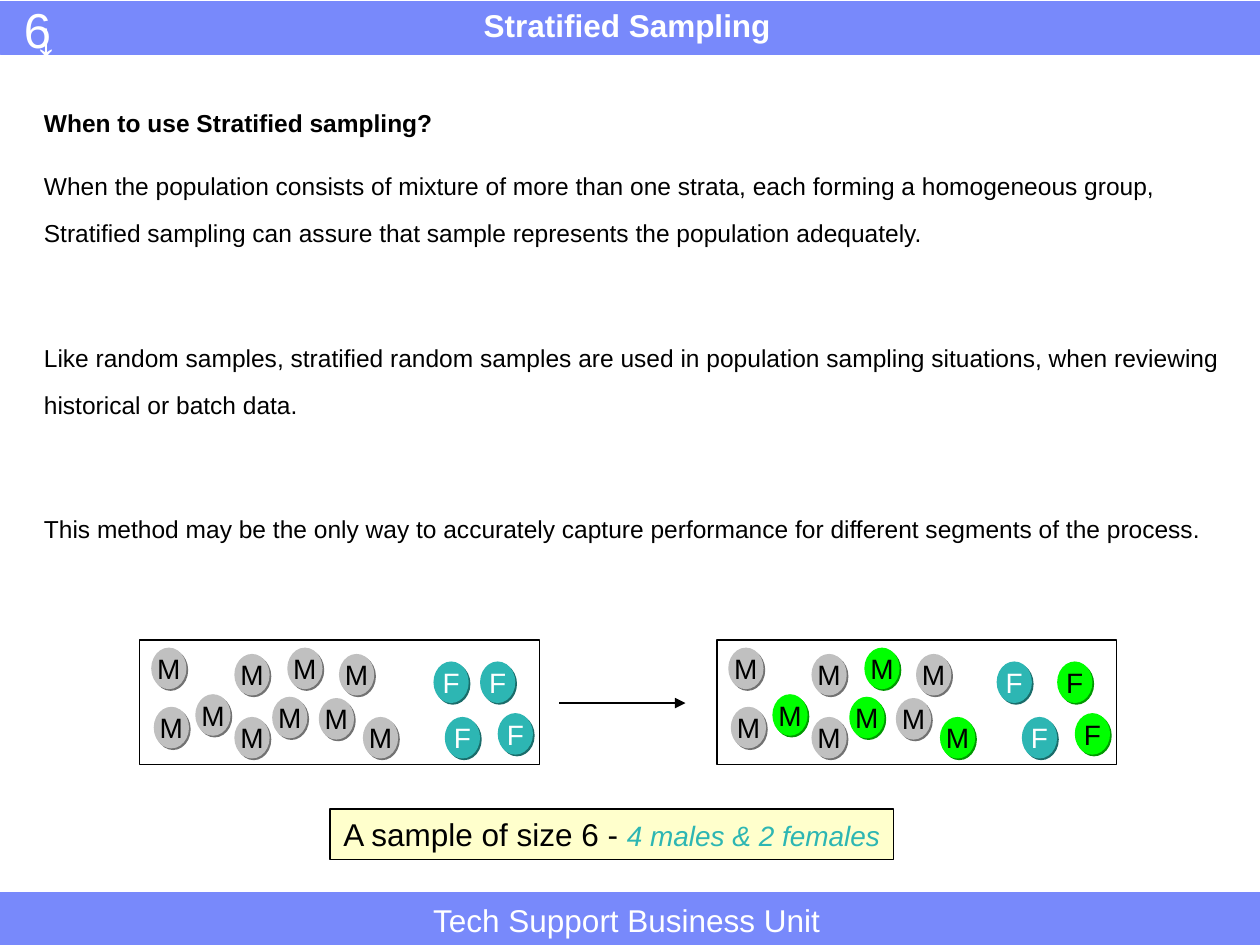
from lxml.etree import SubElement
from pptx import Presentation
from pptx.dml.color import RGBColor
from pptx.enum.shapes import MSO_CONNECTOR as CONN, MSO_SHAPE as SHAPE
from pptx.enum.text import MSO_ANCHOR as ANCHOR, MSO_AUTO_SIZE as FIT, PP_ALIGN as ALIGN
from pptx.oxml.ns import qn
from pptx.util import Inches, Pt

COLS, ROWS = 100, 75
CELL = Inches(10) / COLS

BLACK = RGBColor(0x00, 0x00, 0x00)
WHITE = RGBColor(0xFF, 0xFF, 0xFF)
BAND = RGBColor(0x78, 0x89, 0xFB)
CREAM = RGBColor(0xFF, 0xFF, 0xCC)
GREY = RGBColor(0xC0, 0xC0, 0xC0)
GREY_SHADE = RGBColor(0x72, 0x72, 0x72)
TEAL = RGBColor(0x2D, 0xB6, 0xB3)
TEAL_SHADE = RGBColor(0x1A, 0x6C, 0x6A)
GREEN = RGBColor(0x00, 0xFF, 0x00)
GREEN_SHADE = RGBColor(0x00, 0x98, 0x00)

# fill, shadow, letter colour
MALE = (GREY, GREY_SHADE, BLACK)
FEMALE = (TEAL, TEAL_SHADE, WHITE)
CHOSEN = (GREEN, GREEN_SHADE, BLACK)

BALL = (2.8, 3.3)
MALE_SPOTS = [(7.5, 1.1), (10.5, 4.5), (7.5, 6.1), (11.7, 0.6), (0.9, 0.6),
              (1.1, 5.3), (4.4, 4.3), (14.2, 4.6), (15.8, 1.1), (17.7, 6.1)]
FEMALE_SPOTS = [(27, 1.7), (28.4, 5.8), (24.2, 6.1)]

BODY = [
    ("When to use Stratified sampling?", 0),
    ("When the population consists of mixture of more than one strata, each forming "
     "a homogeneous group, Stratified sampling can assure that sample represents the "
     "population adequately.", 8.8),
    ("Like random samples, stratified random samples are used in population sampling "
     "situations, when reviewing historical or batch data.", 44.5),
    ("This method may be the only way to accurately capture performance for different "
     "segments of the process.", 44.5),
]


def cells(*lengths):
    return [round(n * CELL) for n in lengths]


def add_run(p, text, color, size, name="Arial", **extra):
    r = p.add_run()
    r.text = text
    r.font.color.rgb = color
    for key, value in {"size": Pt(size), "name": name, **extra}.items():
        setattr(r.font, key, value)


def add_box(shapes, kind, box, fill=None, line=None, width=0.75):
    sp = shapes.add_shape(kind, *cells(*box))
    sp.shadow.inherit = False
    if fill is None:
        sp.fill.background()
    else:
        sp.fill.solid()
        sp.fill.fore_color.rgb = fill
    if line is None:
        sp.line.fill.background()
    else:
        sp.line.color.rgb = line
        sp.line.width = Pt(width)
    return sp


def add_label(slide, box, text, size, **extra):
    """White one-line text that does not wrap."""
    tf = slide.shapes.add_textbox(*cells(*box)).text_frame
    tf.word_wrap = False
    tf.auto_size = FIT.SHAPE_TO_FIT_TEXT
    add_run(tf.paragraphs[0], text, WHITE, size, **extra)


def add_bands(slide, height):
    for top in (0.1, ROWS - height):
        add_box(slide.shapes, SHAPE.RECTANGLE, (0, top, COLS, height), BAND, BAND, 0.25)
    add_label(slide, (0.9, -0.5, 4.1, 5.7), "6", 28)
    add_label(slide, (1.7, 0.1, 4.4, 5.7), "↓", 28, name="Times New Roman")
    add_label(slide, (33.4, ROWS - 4, 33, 4), "Tech Support Business Unit", 18)
    add_label(slide, (37.4, 0, 24.8, 4), "Stratified Sampling", 18, bold=True)


def add_body(slide, box):
    tf = slide.shapes.add_textbox(*cells(*box)).text_frame
    tf.word_wrap = True
    for i, (text, before) in enumerate(BODY):
        p = tf.add_paragraph() if i else tf.paragraphs[0]
        p.line_spacing = 1.6
        p.space_before = Pt(before)
        add_run(p, text, BLACK, 14, bold=i == 0)


def add_ball(shapes, left, top, letter, style):
    fill, shade, color = style
    sp = add_box(shapes, SHAPE.OVAL, (left, top, *BALL), fill)
    effects = sp._element.spPr.find(qn("a:effectLst"))
    shadow = SubElement(effects, qn("a:outerShdw"), dist=str(Pt(1.4)), dir="2700000",
                        algn="ctr", rotWithShape="0")
    SubElement(shadow, qn("a:srgbClr"), val=str(shade))
    tf = sp.text_frame
    tf.word_wrap = False
    tf.vertical_anchor = ANCHOR.MIDDLE
    p = tf.paragraphs[0]
    p.alignment = ALIGN.CENTER
    add_run(p, letter, color, 16)


def add_population(slide, box, first_female, chosen_males=(), chosen_females=()):
    """Framed males and females; the chosen indices are drawn green."""
    shapes = slide.shapes.add_group_shape().shapes
    add_box(shapes, SHAPE.RECTANGLE, box, line=BLACK)
    strata = [("M", MALE, MALE_SPOTS, chosen_males),
              ("F", FEMALE, [first_female, *FEMALE_SPOTS], chosen_females)]
    for letter, style, spots, chosen in strata:
        for i, (dx, dy) in enumerate(spots):
            add_ball(shapes, box[0] + dx, box[1] + dy, letter,
                     CHOSEN if i in chosen else style)


def add_arrow(slide, left, right, y):
    line = slide.shapes.add_connector(CONN.STRAIGHT, *cells(left, y, right, y))
    line.line.color.rgb = BLACK
    line.line.width = Pt(0.75)
    SubElement(line.line._get_or_add_ln(), qn("a:tailEnd"), type="triangle")
    SubElement(line._element.spPr, qn("a:effectLst"))


def add_caption(slide, box):
    tf = add_box(slide.shapes, SHAPE.RECTANGLE, box, CREAM, BLACK).text_frame
    tf.word_wrap = False
    tf.vertical_anchor = ANCHOR.TOP
    p = tf.paragraphs[0]
    p.alignment = ALIGN.CENTER
    add_run(p, "A sample of size 6 - ", BLACK, 18)
    add_run(p, "4 males & 2 females", TEAL, 16, italic=True)


def main():
    prs = Presentation()
    prs.slide_width, prs.slide_height = cells(COLS, ROWS)
    slide = prs.slides.add_slide(prs.slide_layouts[6])
    add_bands(slide, 4.2)
    add_body(slide, (2.5, 6.7, 95.8, 37))
    add_caption(slide, (26.2, 64.2, 44.7, 4))
    add_population(slide, (11.1, 50.8, 31.7, 9.9), (23.3, 1.7))
    add_population(slide, (56.9, 50.8, 31.7, 9.9), (22.2, 1.7), (1, 3, 6, 9), (1, 2))
    add_arrow(slide, 44.4, 54.4, 55.8)
    prs.save("out.pptx")


if __name__ == "__main__":
    main()
